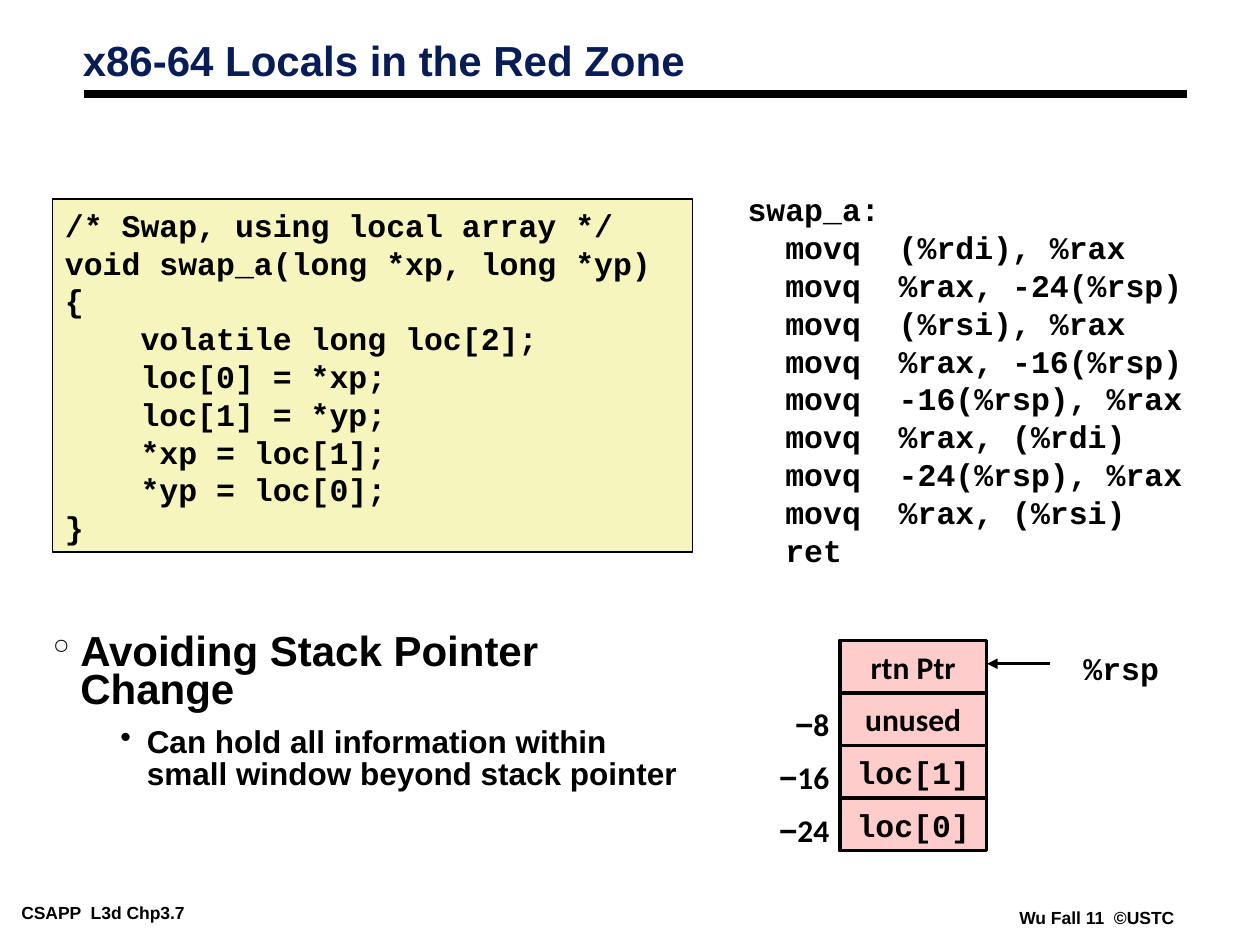
from lxml import etree
from pptx import Presentation
from pptx.dml.color import RGBColor
from pptx.enum.shapes import MSO_CONNECTOR, MSO_SHAPE
from pptx.enum.text import MSO_ANCHOR, PP_ALIGN
from pptx.oxml.ns import qn
from pptx.util import Cm, Pt

BLACK, NAVY, YELLOW, PINK = "000000", "081D58", "F6F5BD", "FFCCCC"
SANS, LABEL, MONO = "Arial", "Calibri", "Courier New"

SWAP_C = """/* Swap, using local array */
void swap_a(long *xp, long *yp) {
    volatile long loc[2];
    loc[0] = *xp;
    loc[1] = *yp;
    *xp = loc[1];
    *yp = loc[0];
}"""

SWAP_ASSEMBLY = """swap_a:
  movq  (%rdi), %rax
  movq  %rax, -24(%rsp)
  movq  (%rsi), %rax
  movq  %rax, -16(%rsp)
  movq  -16(%rsp), %rax
  movq  %rax, (%rdi)
  movq  -24(%rsp), %rax
  movq  %rax, (%rsi)
  ret"""


def color(hex_string):
    return RGBColor.from_string(hex_string)


def write(paragraph, text, font=SANS, size=18, ink=BLACK, align=PP_ALIGN.LEFT,
          spacing=None, before=0):
    """Append a bold run to the paragraph and set the paragraph format."""
    paragraph.alignment = align
    paragraph.space_before = Pt(before)
    if spacing:
        paragraph.line_spacing = spacing
    run = paragraph.add_run()
    run.text = text
    run.font.name, run.font.size, run.font.bold = font, Pt(size), True
    run.font.color.rgb = color(ink)


def add_bullet(paragraph, character, margin, hanging):
    properties = paragraph._p.get_or_add_pPr()
    properties.set("marL", str(Cm(margin)))
    properties.set("indent", str(-Cm(hanging)))
    bullet_color = etree.SubElement(properties, qn("a:buClr"))
    etree.SubElement(bullet_color, qn("a:srgbClr"), val=BLACK)
    etree.SubElement(properties, qn("a:buChar"), char=character)


class SlideBuilder:
    """Draws on one slide; all lengths are in centimetres."""

    def __init__(self, slide):
        self.slide = slide

    def frame(self, shape, side=0.25, edge=0.13, anchor=MSO_ANCHOR.TOP, wrap=True):
        frame = shape.text_frame
        frame.margin_left = frame.margin_right = Cm(side)
        frame.margin_top = frame.margin_bottom = Cm(edge)
        frame.vertical_anchor, frame.word_wrap = anchor, wrap
        return frame

    def text_box(self, left, top, width, height, **layout):
        shape = self.slide.shapes.add_textbox(Cm(left), Cm(top), Cm(width), Cm(height))
        return self.frame(shape, **layout)

    def box(self, left, top, width, height, fill, weight, **layout):
        shape = self.slide.shapes.add_shape(
            MSO_SHAPE.RECTANGLE, Cm(left), Cm(top), Cm(width), Cm(height))
        shape.shadow.inherit = False
        shape.fill.solid()
        shape.fill.fore_color.rgb = color(fill)
        shape.line.color.rgb, shape.line.width = color(BLACK), Pt(weight)
        return self.frame(shape, **layout)

    def line(self, start, end, weight, arrow=False):
        connector = self.slide.shapes.add_connector(
            MSO_CONNECTOR.STRAIGHT, *map(Cm, start + end))
        connector.line.color.rgb, connector.line.width = color(BLACK), Pt(weight)
        if arrow:
            etree.SubElement(connector.line._get_or_add_ln(), qn("a:tailEnd"), type="triangle")
        etree.SubElement(connector._element.spPr, qn("a:effectLst"))

    def code(self, frame, source):
        for number, text in enumerate(source.split("\n")):
            paragraph = frame.add_paragraph() if number else frame.paragraphs[0]
            write(paragraph, text, font=MONO)


def main():
    presentation = Presentation()
    presentation.slide_width, presentation.slide_height = Cm(25.4), Cm(19.05)
    builder = SlideBuilder(presentation.slides.add_slide(presentation.slide_layouts[6]))

    # Footer
    footer = builder.text_box(0.25, 18.11, 5.16, 0.56, side=0.18, edge=0.08)
    write(footer.paragraphs[0], "CSAPP  L3d Chp3.7", size=10)
    footer = builder.text_box(20.37, 18.21, 3.51, 0.56, side=0.18, edge=0.08, wrap=False)
    write(footer.paragraphs[0], "Wu Fall 11  ©USTC", size=10)

    # Title and rule
    builder.line((1.69, 1.9), (23.92, 1.9), 4.5)
    title = builder.text_box(1.42, 0.71, 21.08, 1.14, anchor=MSO_ANCHOR.MIDDLE)
    write(title.paragraphs[0], "x86-64 Locals in the Red Zone", size=24, ink=NAVY, spacing=0.87)

    # Bullets
    body = builder.text_box(0.81, 12.7, 13.39, 4.24)
    point = body.paragraphs[0]
    add_bullet(point, "°", 0.56, 0.56)
    write(point, "Avoiding Stack Pointer Change", size=24, spacing=0.75)
    detail = body.add_paragraph()
    detail.level = 1
    add_bullet(detail, "•", 1.9, 0.53)
    write(detail, "Can hold all information within small window beyond stack pointer",
          spacing=0.85, before=9)

    # Code
    builder.code(builder.box(1.06, 4.02, 12.9, 7.11, YELLOW, 1), SWAP_C)
    builder.code(builder.text_box(14.82, 3.71, 9.95, 7.87), SWAP_ASSEMBLY)

    # Stack cells with their offsets
    cells = [("rtn Ptr", LABEL, None), ("unused", LABEL, "8"),
             ("loc[1]", MONO, "16"), ("loc[0]", MONO, "24")]
    stack_top, cell_height = 12.91, 1.06
    for row, (name, font, offset) in enumerate(cells):
        top = stack_top + row * cell_height
        cell = builder.box(16.93, top, 2.96, cell_height, PINK, 2,
                           anchor=MSO_ANCHOR.MIDDLE, wrap=False)
        write(cell.paragraphs[0], name, font=font, align=PP_ALIGN.CENTER)
        if offset:
            label = builder.text_box(14.82, top + 0.12, 2.03, 1.02, side=0.13)
            write(label.paragraphs[0], "−", align=PP_ALIGN.RIGHT)
            write(label.paragraphs[0], offset, font=LABEL, align=PP_ALIGN.RIGHT)

    # Stack pointer
    builder.line((21.17, 13.38), (19.9, 13.38), 2, arrow=True)
    pointer = builder.text_box(21.59, 12.95, 2.03, 1.02, wrap=False)
    write(pointer.paragraphs[0], "%rsp", font=MONO)

    presentation.save("out.pptx")


if __name__ == "__main__":
    main()
